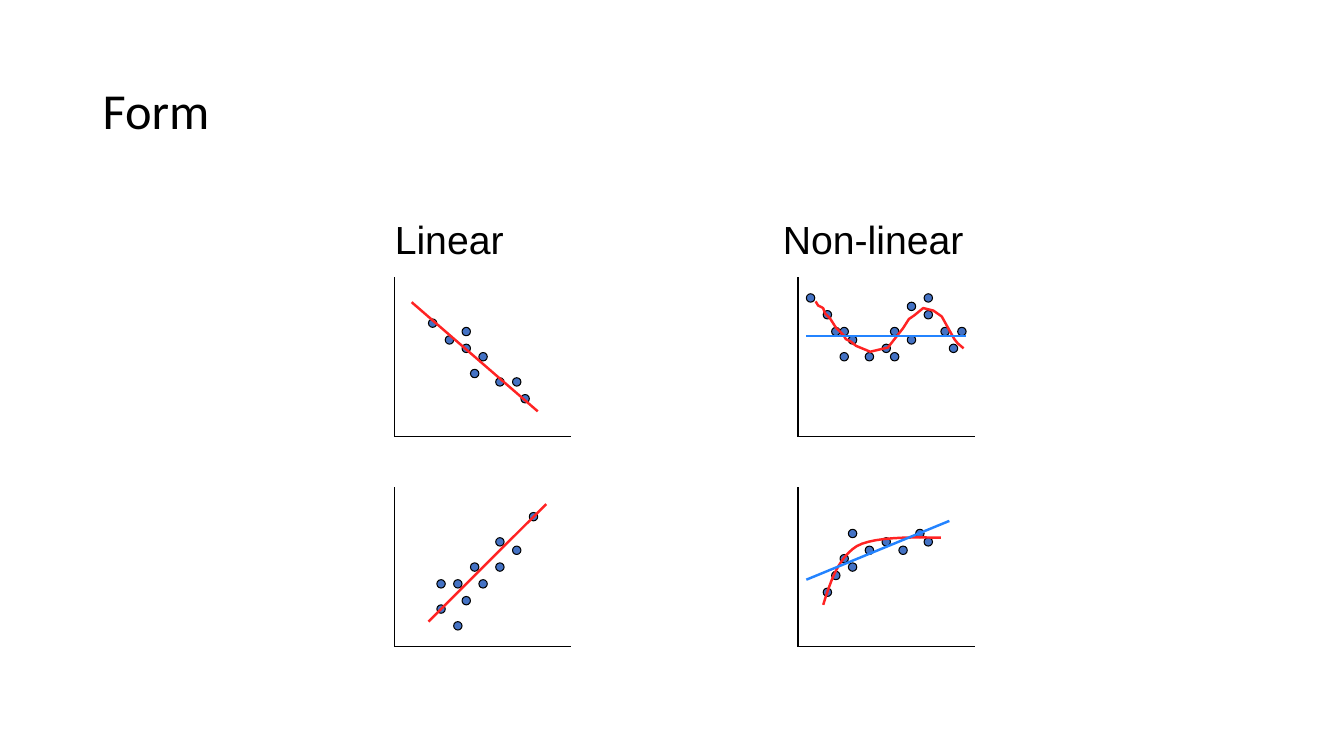
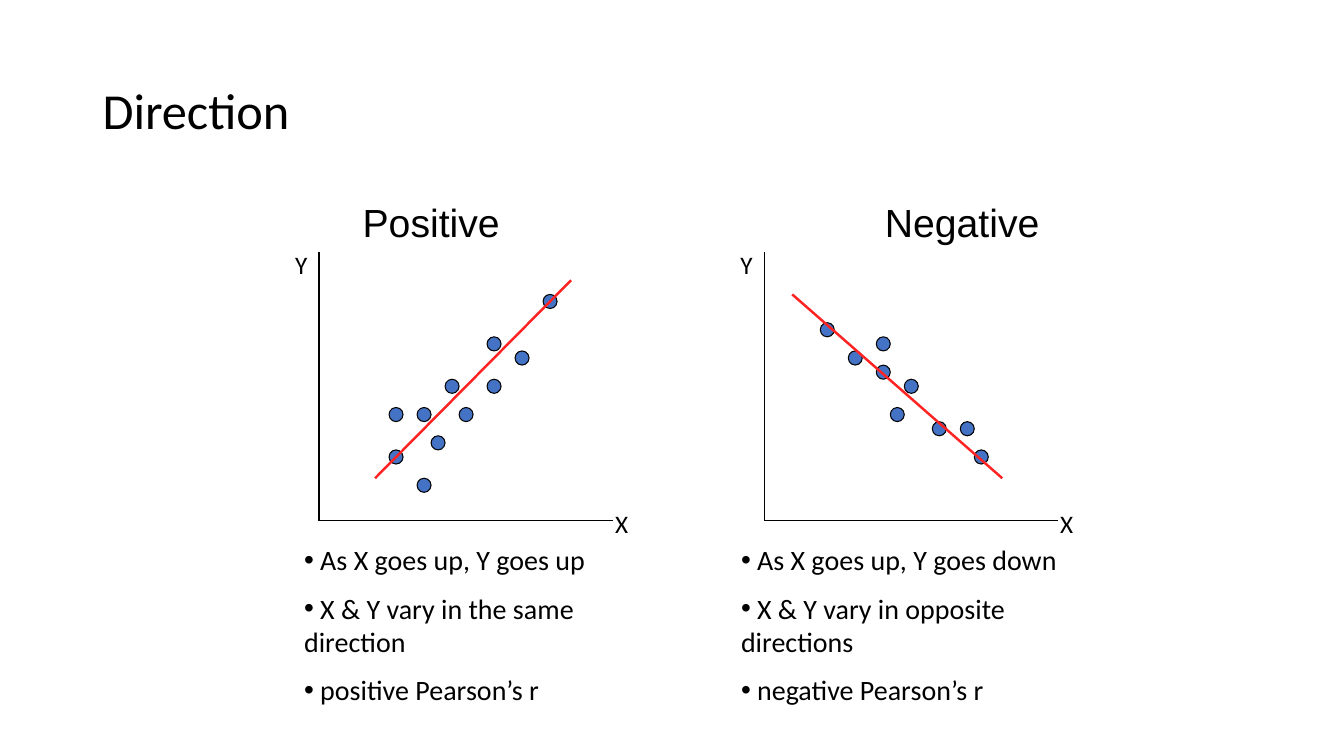
from collections import namedtuple

from lxml import etree
from pptx import Presentation
from pptx.dml.color import RGBColor
from pptx.enum import shapes, text
from pptx.oxml import ns
from pptx.util import Cm, Pt

Box = namedtuple("Box", "left top width height")
Plot = namedtuple("Plot", "dots trend curve", defaults=[()])

BLACK, BLUE, RED, SKY = "000000", "4472C4", "FF2323", "2383FF"
TITLE_BOX = Box(2.33, 1.01, 29.21, 3.68)
COLUMNS, ROWS = 21, 19
TITLE_ONLY, TWO_CONTENT = 5, 3


def bezier(controls, steps=12):
    points = [controls[0]]
    for first in range(0, len(controls) - 1, 3):
        corners = controls[first:first + 4]
        for step in range(1, steps + 1):
            t = step / steps
            weights = ((1 - t) ** 3, 3 * t * (1 - t) ** 2, 3 * t * t * (1 - t), t ** 3)
            points.append(tuple(sum(w * corner[axis] for w, corner in zip(weights, corners))
                                for axis in (0, 1)))
    return points


FALLING = Plot(
    [(4, 5), (6, 7), (8, 8), (10, 9), (8, 6), (9, 11), (12, 12), (15, 14), (14, 12)],
    [(2, 3), (17, 16)])
RISING = Plot(
    [(5, 14), (7, 11), (5, 11), (10, 11), (9, 9), (12, 9), (12, 6), (14, 7), (8, 13),
     (16, 3), (7, 16)],
    [(4, 16), (18, 2)])
WAVY = Plot(
    [(3, 4), (4, 6), (6, 7), (5, 9), (8, 9), (10, 8), (11, 6), (11, 9), (13, 7), (15, 4),
     (13, 3), (1, 2), (17, 6), (15, 2), (18, 8), (19, 6), (5, 6)],
    [(1, 7), (20, 7)],
    [(2.1, 2.9), (2.4, 3.4), (3, 3.7), (3.2, 4.3), (3.8, 4.9), (4.5, 6), (5.4, 6.9),
     (5.7, 7.4), (6.3, 7.7), (6.9, 8.2), (8.6, 8.9), (10.7, 8.4), (12.5, 6.1),
     (13.2, 5), (13.8, 4.6), (14.9, 3.7), (16.1, 4), (17.1, 4.7), (18.6, 7.4),
     (19, 7.9), (19.7, 8.5)])
LEVELLING = Plot(
    [(3, 12), (4, 10), (5, 8), (6, 9), (6, 5), (10, 6), (12, 7), (14, 5), (8, 7), (15, 6)],
    [(1, 11), (18, 4)],
    bezier([(3, 14), (3.9, 11.1), (4.8, 8.4), (7, 7), (9.3, 5.7), (15.3, 6), (17, 6)]))


def color(value):
    return RGBColor.from_string(value)


def lengths(box):
    return [Cm(value) for value in box]


def set_font(para, name, size):
    para.font.name = name
    para.font.size = Pt(size)
    para.font.color.rgb = color(BLACK)


def set_line(line, value, width):
    line.color.rgb = color(value)
    line.width = Pt(width)


def add_page(deck, layout, heading):
    page = deck.slides.add_slide(deck.slide_layouts[layout])
    title = page.shapes.title
    title.left, title.top, title.width, title.height = lengths(TITLE_BOX)
    title.text_frame.text = heading
    title.text_frame.vertical_anchor = text.MSO_ANCHOR.MIDDLE
    para = title.text_frame.paragraphs[0]
    para.alignment = text.PP_ALIGN.LEFT
    para.line_spacing = 0.9
    set_font(para, "Calibri", 36)
    return page


def add_label(page, box, words, name="Arial", size=28):
    label = page.shapes.add_textbox(*lengths(box))
    label.text_frame.word_wrap = True
    label.text_frame.text = words
    set_font(label.text_frame.paragraphs[0], name, size)


def add_line(page, start, end, value, width):
    line = page.shapes.add_connector(shapes.MSO_CONNECTOR.STRAIGHT, *start, *end)
    set_line(line.line, value, width)
    etree.SubElement(line._element.spPr, ns.qn("a:effectLst"))


def add_curve(page, points):
    builder = page.shapes.build_freeform(*points[0])
    builder.add_line_segments(points[1:], close=False)
    curve = builder.convert_to_shape()
    curve.shadow.inherit = False
    curve.fill.background()
    set_line(curve.line, RED, 1.75)


def add_plot(page, box, plot):
    cell_width, cell_height = box.width / COLUMNS, box.height / ROWS

    def place(point):
        return Cm(box.left + point[0] * cell_width), Cm(box.top + point[1] * cell_height)

    corner = place((0, ROWS))
    add_line(page, place((0, 0)), corner, BLACK, 0.75)
    add_line(page, corner, place((COLUMNS, ROWS)), BLACK, 0.75)
    for point in plot.dots:
        dot = page.shapes.add_shape(shapes.MSO_SHAPE.OVAL, *place(point),
                                    Cm(cell_width), Cm(cell_height))
        dot.shadow.inherit = False
        dot.fill.solid()
        dot.fill.fore_color.rgb = color(BLUE)
        set_line(dot.line, BLACK, 0.75)
    if plot.curve:
        add_curve(page, [place(point) for point in plot.curve])
    add_line(page, *map(place, plot.trend), SKY if plot.curve else RED, 1.75)


def add_axis_names(page, box):
    add_label(page, Box(box.left - 0.85, box.top - 0.2, 0.9, 1.02), "Y", "Calibri", 18)
    add_label(page, Box(box.left + box.width - 0.2, box.top + box.height - 0.43, 0.9, 1.02),
              "X", "Calibri", 18)


def fill_list(body, box, items):
    body.left, body.top, body.width, body.height = lengths(box)
    frame = body.text_frame
    frame.auto_size = text.MSO_AUTO_SIZE.NONE
    frame.text = "\n".join(" " + item for item in items)
    for para in frame.paragraphs:
        para.space_before = Pt(10.5)
        properties = para._p.get_or_add_pPr()
        properties.set("marL", "0")
        properties.set("indent", "0")
        etree.SubElement(properties, ns.qn("a:buFont"), typeface="Arial")
        etree.SubElement(properties, ns.qn("a:buChar"), char="•")
        set_font(para, "Calibri", 20)


def build_form(deck):
    page = add_page(deck, TITLE_ONLY, "Form")
    groups = [("Linear", 9.7, 9.95, (FALLING, RISING)),
              ("Non-linear", 19.48, 20.11, (WAVY, LEVELLING))]
    for heading, heading_left, left, plots in groups:
        add_label(page, Box(heading_left, 5.29, 5.6, 1.45), heading)
        for top, plot in zip((6.98, 12.28), plots):
            add_plot(page, Box(left, top, 4.45, 4.02), plot)


def build_direction(deck):
    page = add_page(deck, TWO_CONTENT, "Direction")
    groups = [
        ("Positive", 8.89, 8.04, RISING, 7.41,
         ["As X goes up, Y goes up", "X & Y vary in the same direction",
          "positive Pearson’s r"]),
        ("Negative", 22.05, 19.26, FALLING, 18.42,
         ["As X goes up, Y goes down", "X & Y vary in opposite directions",
          "negative Pearson’s r"])]
    for number, (heading, heading_left, left, plot, list_left, items) in enumerate(groups, 1):
        box = Box(left, 6.35, 7.41, 6.77)
        add_label(page, Box(heading_left, 4.87, 5.6, 1.45), heading)
        fill_list(page.placeholders[number], Box(list_left, 13.55, 9.8, 4.66), items)
        add_plot(page, box, plot)
        add_axis_names(page, box)


def main():
    deck = Presentation()
    deck.slide_width, deck.slide_height = Cm(33.87), Cm(19.05)
    build_form(deck)
    build_direction(deck)
    deck.save("out.pptx")


if __name__ == "__main__":
    main()
